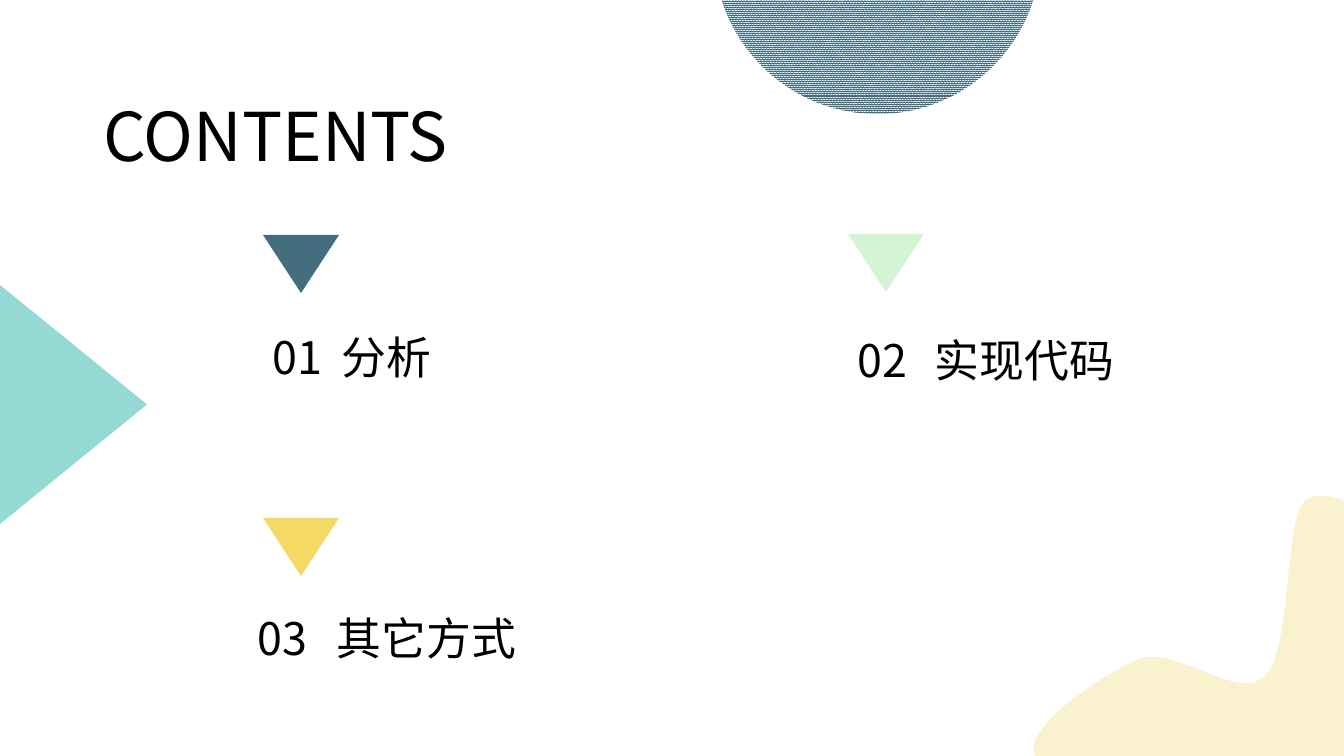
import pptx
import pptx.util
import pptx.dml.color
import pptx.enum.dml
import pptx.enum.shapes
import pptx.enum.text
import pptx.oxml
import pptx.oxml.ns

# Content: number, name, number x, name x, text y, marker x, marker y, colour
TITLE = "CONTENTS"
ITEMS = [
    ("01", "分析", 263, 332, 325, 263, 235, "slate"),
    ("02", "实现代码", 848, 925, 328, 848, 234, "mint"),
    ("03", "其它方式", 248, 327, 606, 263, 518, "gold"),
]
# Corner blob: start point, then cubic curves (two controls and an end)
START = (1043, 765)
CURVES = [
    ((1002, 739), (1103, 674), (1139, 659)),
    ((1176, 645), (1238, 703), (1265, 676)),
    ((1293, 650), (1283, 518), (1306, 500)),
    ((1330, 483), (1392, 518), (1405, 571)),
    ((1418, 624), (1445, 783), (1385, 816)),
    ((1325, 849), (1084, 791), START),
]
COLORS = {
    "black": "000000", "white": "FFFFFF", "slate": "446E7E", "mint": "D5F4D3",
    "gold": "F4D964", "cream": "FAF1CE", "teal": "94D9D4",
}
FONT = "Noto Sans CJK SC"
STEPS = 16
KINDS = pptx.enum.shapes.MSO_SHAPE


def px(n):
    return pptx.util.Emu(round(n * 914400 / 100.8))


def color(key):
    return pptx.dml.color.RGBColor.from_string(COLORS[key])


def place(shape, x, y, w, h):
    shape.left, shape.top, shape.width, shape.height = map(px, (x, y, w, h))


def write(shape, text, size):
    frame = shape.text_frame
    frame.text = text
    frame.word_wrap = True
    frame.auto_size = pptx.enum.text.MSO_AUTO_SIZE.SHAPE_TO_FIT_TEXT
    frame.vertical_anchor = pptx.enum.text.MSO_ANCHOR.TOP
    line = frame.paragraphs[0]
    line.alignment = pptx.enum.text.PP_ALIGN.LEFT
    font = line.runs[0].font
    font.name = FONT
    font.size = pptx.util.Pt(size)
    font.color.rgb = color("black")
    # East Asian typeface
    east = pptx.oxml.parse_xml(
        f'<a:ea {pptx.oxml.ns.nsdecls("a")} typeface="{FONT}"/>')
    line.runs[0]._r.rPr.find(pptx.oxml.ns.qn("a:latin")).addnext(east)


def paint(shape, key):
    shape.shadow.inherit = False
    shape.line.fill.background()
    shape.fill.solid()
    shape.fill.fore_color.rgb = color(key)


def add(kind, x, y, w, h, key, turn=0):
    shape = slide.shapes.add_shape(kind, *map(px, (x, y, w, h)))
    shape.rotation = turn
    paint(shape, key)
    return shape


def label(text, x, y, w):
    box = slide.shapes.add_textbox(*map(px, (x, y, w, 65)))
    write(box, text, 32)


def bend(a, b, c, d):
    for i in range(1, STEPS + 1):
        t = i / STEPS
        u = 1 - t
        yield tuple(
            px(u**3 * p + 3 * u * u * t * q + 3 * u * t * t * r + t**3 * s)
            for p, q, r, s in zip(a, b, c, d))


# Slide and title
deck = pptx.Presentation()
deck.slide_width, deck.slide_height = px(1344), px(756)
slide = deck.slides.add_slide(deck.slide_layouts[5])
place(slide.shapes.title, 93, 89, 396, 92)
write(slide.shapes.title, TITLE, 48)

# Contents entries
for num, name, numx, namex, texty, markx, marky, key in ITEMS:
    add(KINDS.ISOSCELES_TRIANGLE, markx, marky, 76, 58, key, 180)
    label(name, namex, texty, 346)
    label(num, numx, texty, 84)

# Corner blob
points = []
last = START
for one, two, end in CURVES:
    points += bend(last, one, two, end)
    last = end
pen = slide.shapes.build_freeform(*map(px, START))
pen.add_line_segments(points, close=True)
paint(pen.convert_to_shape(), "cream")

# Patterned disc and side triangle
disc = add(KINDS.OVAL, 714, -213, 327, 327, "slate")
disc.fill.patterned()
disc.fill.pattern = pptx.enum.dml.MSO_PATTERN.PERCENT_90
disc.fill.fore_color.rgb = color("slate")
disc.fill.back_color.rgb = color("white")
add(KINDS.ISOSCELES_TRIANGLE, -46, 331, 239, 147, "teal", 90)

deck.save("out.pptx")
